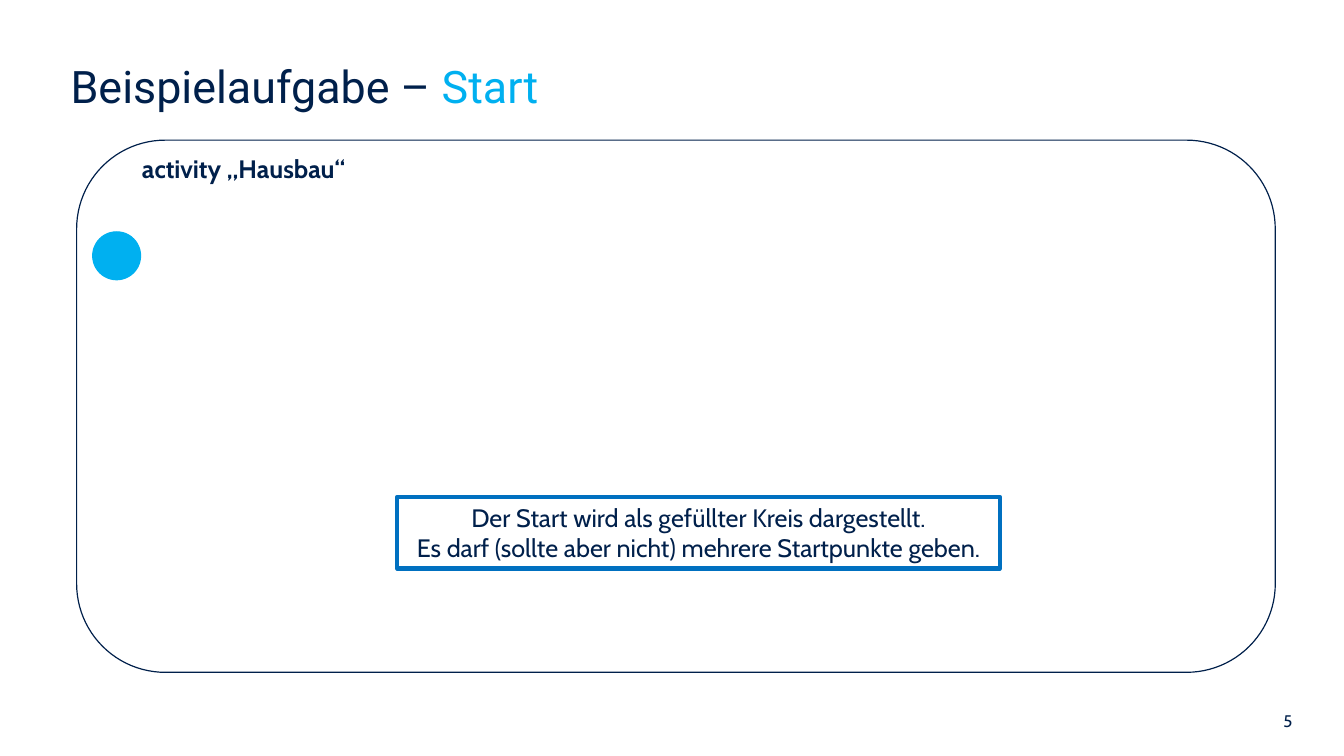
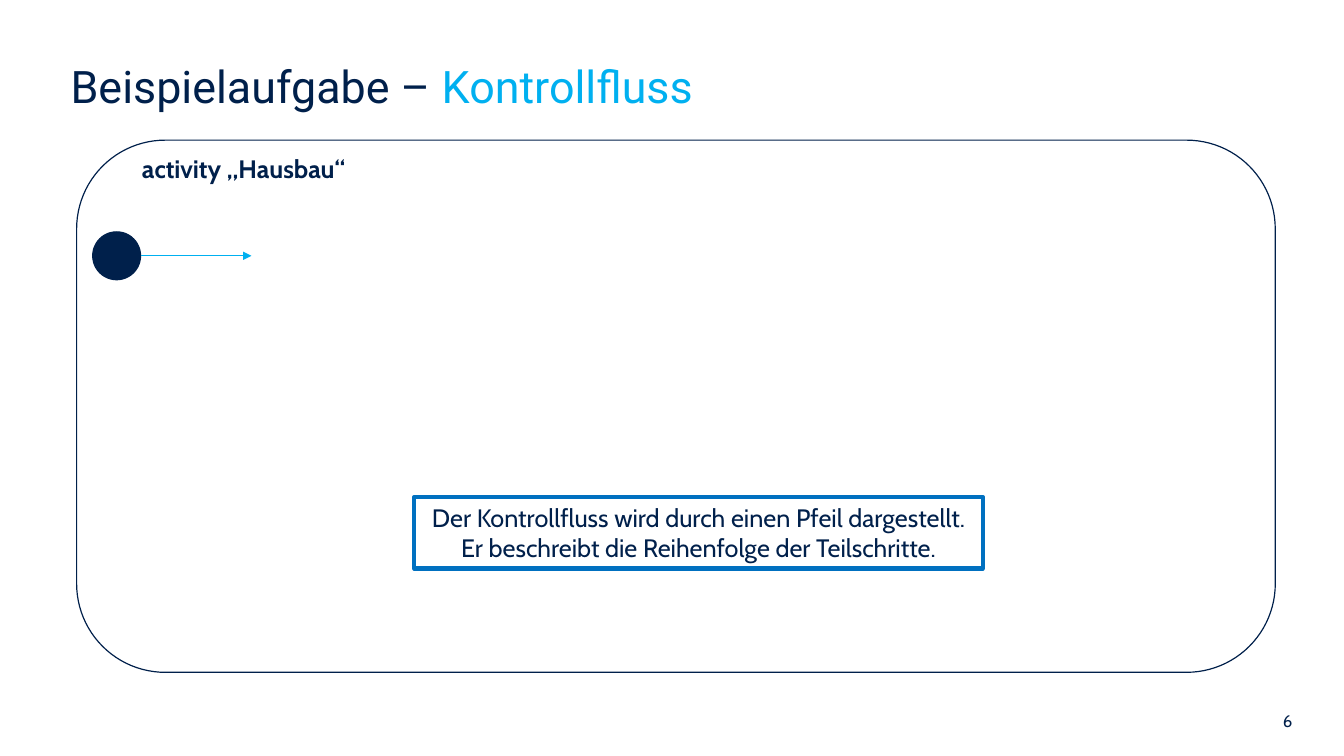
from dataclasses import dataclass
from typing import Optional

import lxml.etree
import pptx
import pptx.dml.color
import pptx.enum.shapes
import pptx.enum.text
import pptx.oxml.ns
import pptx.util

ALIGN = pptx.enum.text.PP_ALIGN
ANCHOR = pptx.enum.text.MSO_ANCHOR
SHAPE = pptx.enum.shapes.MSO_SHAPE
RGB = pptx.dml.color.RGBColor.from_string

SLIDE_WIDTH = pptx.util.Inches(13.33)
SLIDE_HEIGHT = pptx.util.Inches(7.5)
COLUMNS, ROWS = 160, 90


@dataclass(frozen=True)
class Theme:
    navy: str = "00204B"
    accent: str = "00B0F0"
    note_border: str = "0070C0"
    heading_font: str = "Roboto"
    body_font: str = "Cabin"
    title_size: float = 32
    body_size: float = 18
    page_size: float = 12
    thin_line: float = 0.85
    arrow_line: float = 0.75
    note_line: float = 3


@dataclass(frozen=True)
class Area:
    """A rectangle in columns and rows of the slide grid."""
    column: float
    row: float
    columns: float
    rows: float

    def place(self) -> tuple[int, int, int, int]:
        return (across(self.column), down(self.row),
                across(self.columns), down(self.rows))


@dataclass(frozen=True)
class Step:
    page: int
    topic: str
    note: tuple[str, ...]
    note_columns: float
    start_color: str
    has_arrow: bool = False


THEME = Theme()
TITLE = Area(7.2, 5.76, 146.2, 9.48)
PAGE_NUMBER = Area(101.4, 83.64, 53.64, 4.8)
FRAME = Area(9.12, 16.68, 142.7, 63.36)
LABEL = Area(15.72, 17.64, 26.88, 4.8)
START = Area(11.04, 27.6, 5.7, 5.7)
NOTE_CENTER, NOTE_ROW, NOTE_ROWS = 83.16, 59.16, 8.52
ARROW_COLUMNS = 13.2

STEPS = (
    Step(5, "Start",
         ("Der Start wird als gefüllter Kreis dargestellt.",
          "Es darf (sollte aber nicht) mehrere Startpunkte geben."),
         71.76, THEME.accent),
    Step(6, "Kontrollfluss",
         ("Der Kontrollfluss wird durch einen Pfeil dargestellt.",
          "Er beschreibt die Reihenfolge der Teilschritte."),
         67.68, THEME.navy, has_arrow=True),
)


def across(columns: float) -> int:
    return round(SLIDE_WIDTH * columns / COLUMNS)


def down(rows: float) -> int:
    return round(SLIDE_HEIGHT * rows / ROWS)


def add_text(para, text: str, *, size: float = THEME.body_size,
             font: str = THEME.body_font, color: str = THEME.navy,
             bold: bool = False, align=ALIGN.LEFT) -> None:
    para.alignment = align
    para.line_spacing = 1.0
    span = para.add_run()
    span.text = text
    span.font.size = pptx.util.Pt(size)
    span.font.name = font
    span.font.bold = bold
    span.font.color.rgb = RGB(color)


def set_up_frame(box, *, wrap: bool = True, anchor=ANCHOR.TOP, top: float = 0.05):
    """Set wrapping, anchor and top inset in inches; return the text frame."""
    frame = box.text_frame
    frame.word_wrap = wrap
    frame.auto_size = pptx.enum.text.MSO_AUTO_SIZE.NONE
    frame.vertical_anchor = anchor
    frame.margin_top = pptx.util.Inches(top)
    return frame


def add_outline(slide, kind, area: Area, *, line: str = THEME.navy,
                width: float = THEME.thin_line, fill: Optional[str] = None):
    shape = slide.shapes.add_shape(kind, *area.place())
    shape.shadow.inherit = False
    if fill:
        shape.fill.solid()
        shape.fill.fore_color.rgb = RGB(fill)
    else:
        shape.fill.background()
    shape.line.color.rgb = RGB(line)
    shape.line.width = pptx.util.Pt(width)
    return shape


def add_title(slide, topic: str) -> None:
    title = slide.shapes.title
    title.left, title.top, title.width, title.height = TITLE.place()
    para = set_up_frame(title, top=0.1).paragraphs[0]
    for text, color in (("Beispielaufgabe – ", THEME.navy), (topic, THEME.accent)):
        add_text(para, text, size=THEME.title_size, font=THEME.heading_font, color=color)


def add_page_number(slide, number: int) -> None:
    box = slide.shapes.add_textbox(*PAGE_NUMBER.place())
    para = set_up_frame(box, top=0.08).paragraphs[0]
    add_text(para, str(number), size=THEME.page_size, align=ALIGN.RIGHT)


def add_activity(slide) -> None:
    add_outline(slide, SHAPE.ROUNDED_RECTANGLE, FRAME)
    label = slide.shapes.add_textbox(*LABEL.place())
    add_text(set_up_frame(label, wrap=False).paragraphs[0], "activity „Hausbau“", bold=True)


def add_flow_arrow(slide) -> None:
    """Draw the control flow that leaves the start circle to the right."""
    begin = START.column + START.columns
    middle = down(START.row + START.rows / 2)
    arrow = slide.shapes.add_connector(
        pptx.enum.shapes.MSO_CONNECTOR.STRAIGHT,
        across(begin), middle, across(begin + ARROW_COLUMNS), middle)
    arrow.line.color.rgb = RGB(THEME.accent)
    arrow.line.width = pptx.util.Pt(THEME.arrow_line)
    qn = pptx.oxml.ns.qn
    lxml.etree.SubElement(arrow.line._get_or_add_ln(), qn("a:tailEnd"), type="triangle")
    lxml.etree.SubElement(arrow._element.spPr, qn("a:effectLst"))


def add_note(slide, lines: tuple[str, ...], columns: float) -> None:
    area = Area(NOTE_CENTER - columns / 2, NOTE_ROW, columns, NOTE_ROWS)
    box = add_outline(slide, SHAPE.RECTANGLE, area,
                      line=THEME.note_border, width=THEME.note_line)
    frame = set_up_frame(box, wrap=False, anchor=ANCHOR.MIDDLE)
    for index, line in enumerate(lines):
        para = frame.add_paragraph() if index else frame.paragraphs[0]
        add_text(para, line, align=ALIGN.CENTER)


def add_step(deck, step: Step) -> None:
    slide = deck.slides.add_slide(deck.slide_layouts.get_by_name("Title Only"))
    add_page_number(slide, step.page)
    add_title(slide, step.topic)
    add_activity(slide)
    add_outline(slide, SHAPE.OVAL, START, line=step.start_color, fill=step.start_color)
    if step.has_arrow:
        add_flow_arrow(slide)
    add_note(slide, step.note, step.note_columns)


def main() -> None:
    deck = pptx.Presentation()
    deck.slide_width, deck.slide_height = SLIDE_WIDTH, SLIDE_HEIGHT
    for step in STEPS:
        add_step(deck, step)
    deck.save("out.pptx")


if __name__ == "__main__":
    main()
